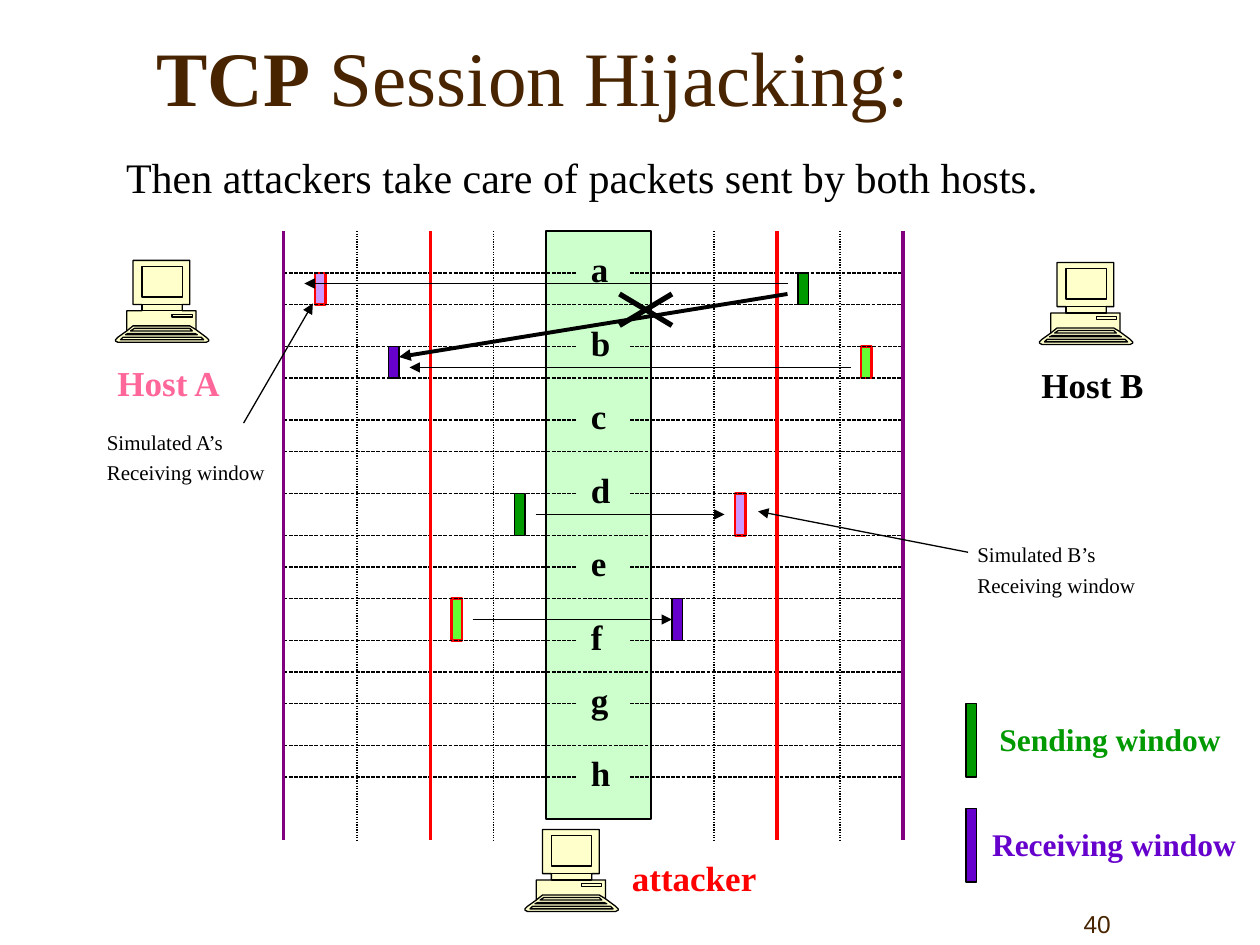
from lxml import etree
from pptx import Presentation
from pptx import util as u
from pptx.dml.color import RGBColor
from pptx.enum import dml, shapes, text
from pptx.oxml.ns import qn

deck = Presentation()
deck.slide_width, deck.slide_height = u.Inches(10), u.Inches(7.5)
slide = deck.slides.add_slide(deck.slide_layouts[1])
STEP = deck.slide_width / 120
TOP, BOTTOM, LEFT, RIGHT = 22, 80, 27, 86
BLACK, RED, GREEN, VIOLET = "000000", "FF0000", "009900", "6600CC"
LIME, LILAC, PURPLE, BROWN = "66FF33", "CC99FF", "800080", "482400"


def paint(part, fill=None, line=BLACK, width=0.75):
    if fill:
        part.fill.solid()
        part.fill.fore_color.rgb = RGBColor.from_string(fill)
    part.line.color.rgb = RGBColor.from_string(line)
    part.line.width = u.Pt(width)
    if part._element.spPr.find(qn("a:effectLst")) is None:
        etree.SubElement(part._element.spPr, qn("a:effectLst"))


def write(holder, words, size, color, bold=False, font="Times New Roman", gap=0):
    frame = holder.text_frame
    frame.text = words
    for index, paragraph in enumerate(frame.paragraphs):
        paragraph.space_before = u.Pt(gap if index else 0)
        for run in paragraph.runs:
            run.font.size, run.font.bold, run.font.name = u.Pt(size), bold, font
            run.font.color.rgb = RGBColor.from_string(color)


title, body = slide.placeholders
title.left, title.top, title.width, title.height = (round(n * STEP) for n in (13.7, 3.4, 102, 8.8))
write(title, "TCP", 44, BROWN, True)
title.text_frame.vertical_anchor = text.MSO_ANCHOR.BOTTOM
title.text_frame.margin_top, title.text_frame.margin_bottom = 0, u.Inches(0.05)
heading = title.text_frame.paragraphs[0]
heading.alignment = text.PP_ALIGN.LEFT
rest = heading.add_run()
rest.text = " Session Hijacking:"
rest.font.size, rest.font.bold, rest.font.name = u.Pt(44), False, "Times New Roman"
rest.font.color.rgb = RGBColor.from_string(BROWN)

body.left, body.top, body.width, body.height = (round(n * STEP) for n in (10.8, 13.8, 105.8, 6))
write(body, "Then attackers take care of packets sent by both hosts.", 24, BLACK)
bullet_props = body.text_frame.paragraphs[0]._p.get_or_add_pPr()
bullet_props.set("marL", "0")
bullet_props.set("indent", "0")
etree.SubElement(bullet_props, qn("a:buNone"))

case = [(72, 61), (64, 55), (64, 40), (53, 40), (53, 35), (59, 35), (59, 0), (14, 0), (14, 35), (21, 35),
        (21, 40), (9, 40), (9, 56), (2, 61), (0, 63), (0, 64), (2, 65), (72, 65), (74, 64), (74, 63)]
keyboard_rows = [[(61, 56), (59, 54), (15, 54), (12, 56)],
                 [(65, 59), (63, 58), (10, 58), (8, 59)],
                 [(70, 63), (68, 61), (6, 61), (4, 63)]]
panels = [[(x, y), (x + w, y), (x + w, y + h), (x, y + h)]
          for x, y, w, h in ((45, 43, 16, 2), (21, 5, 32, 24), (21, 35, 32, 5))]
keyboard_edge = [(64, 55), (59, 52), (14, 52), (9, 56)]
drawing = [(contour, True) for contour in keyboard_rows + panels] + [(keyboard_edge, False)]
for column, row in ((11, 24.8), (99, 25), (50, 79)):
    for contours, fill in (([(case, True)], "FFFFCC"), (drawing, None)):
        pen = slide.shapes.build_freeform(*contours[0][0][0], scale=u.Inches(0.01))
        for contour, closed in contours:
            pen.move_to(*contour[0])
            pen.add_line_segments(contour[1:], close=closed)
        computer = pen.convert_to_shape(round(column * STEP), round(row * STEP))
        if not fill:
            computer.fill.background()
        paint(computer, fill)

letter_rows = dict(zip("abcdefgh", (26, 33, 40, 47, 54, 61, 67, 74)))
between_rows = (29, 36, 43, 51, 57, 64, 71)

windows = [
    (52, TOP, 10, 56, "CCFFCC", BLACK, 0.75),
    (76, 26, 1, 3, GREEN, BLACK, 0.75), (49, 47, 1, 4, GREEN, BLACK, 0.75),
    (64, 57, 1, 4, VIOLET, BLACK, 0.75), (37, 33, 1, 3, VIOLET, BLACK, 0.75),
    (92, 67, 1, 7, GREEN, BLACK, 0.75), (92, 77, 1, 7, VIOLET, BLACK, 0.75),
    (43, 57, 1, 4, LIME, RED, 1.5), (82, 33, 1, 3, LIME, RED, 1.5),
    (30, 26, 1, 3, LILAC, RED, 1.5), (70, 47, 1, 4, LILAC, RED, 1.5),
]
for *place, fill, edge, width in windows:
    window = slide.shapes.add_shape(shapes.MSO_SHAPE.RECTANGLE, *(round(n * STEP) for n in place))
    window.shadow.inherit = False
    paint(window, fill, edge, width)

lines = []
for row in letter_rows.values():
    lines += [(LEFT, row, 55, row, BLACK, 0.75, "dashes"), (60, row, RIGHT, row, BLACK, 0.75, "dashes")]
lines += [(LEFT, row, RIGHT, row, BLACK, 0.75, "dashes") for row in between_rows]
lines += [(x, TOP, x, BOTTOM, BLACK, 0.75, "dots") for x in (34, 47, 68, 80)]
lines += [(x, TOP, x, BOTTOM, RED, 2.25, "") for x in (41, 74)]
lines += [(x, TOP, x, BOTTOM, PURPLE, 2.25, "") for x in (LEFT, RIGHT)]
lines += [(59, 28, 64, 31, BLACK, 3, ""), (64, 28, 59, 31, BLACK, 3, ""),
          (75, 28, 38, 34, BLACK, 2.25, "arrow")]
lines += [(*ends, BLACK, 0.75, "arrow") for ends in (
    (75, 27, 29, 27), (81, 35, 39, 35), (51, 49, 69, 49), (45, 59, 64, 59),
    (23.2, 40.3, 29.8, 28.9), (92.2, 52.6, 72.2, 48.7))]
dash_styles = {"dots": dml.MSO_LINE.ROUND_DOT, "dashes": dml.MSO_LINE.SQUARE_DOT}
for *ends, color, width, style in lines:
    link = slide.shapes.add_connector(shapes.MSO_CONNECTOR.STRAIGHT, *(round(n * STEP) for n in ends))
    paint(link, None, color, width)
    if style in dash_styles:
        link.line.dash_style = dash_styles[style]
    elif style == "arrow":
        etree.SubElement(link.line._get_or_add_ln(), qn("a:tailEnd"), type="triangle")

labels = [(55.1, row - 3, 4.1, 5.3, letter, 20, BLACK, True) for letter, row in letter_rows.items()]
labels += [
    (10, 33.8, 12.6, 5.3, "Host A", 20, "FF6699", True),
    (98, 34, 12.6, 5.3, "Host B", 20, BLACK, True),
    (59, 81, 14.6, 5.3, "attacker", 20, RED, True),
    (94, 68, 23.8, 4.8, "Sending window", 18, GREEN, True),
    (93.3, 78, 26, 4.8, "Receiving window", 18, VIOLET, True),
    (9, 40.3, 18, 6.5, "Simulated A’s\nReceiving window", 12, BLACK, False),
    (91.9, 51, 18, 6.5, "Simulated B’s\nReceiving window", 12, BLACK, False),
]
for *place, words, size, color, bold in labels:
    label = slide.shapes.add_textbox(*(round(n * STEP) for n in place))
    label.text_frame.word_wrap = False
    write(label, words, size, color, bold, gap=3)

number = slide.shapes.add_textbox(*(round(n * STEP) for n in (92, 84, 25, 6)))
number.text_frame.word_wrap = True
number.text_frame.vertical_anchor = text.MSO_ANCHOR.BOTTOM
write(number, "40", 14, BROWN, font="Arial")
number.text_frame.paragraphs[0].alignment = text.PP_ALIGN.CENTER

deck.save("out.pptx")
